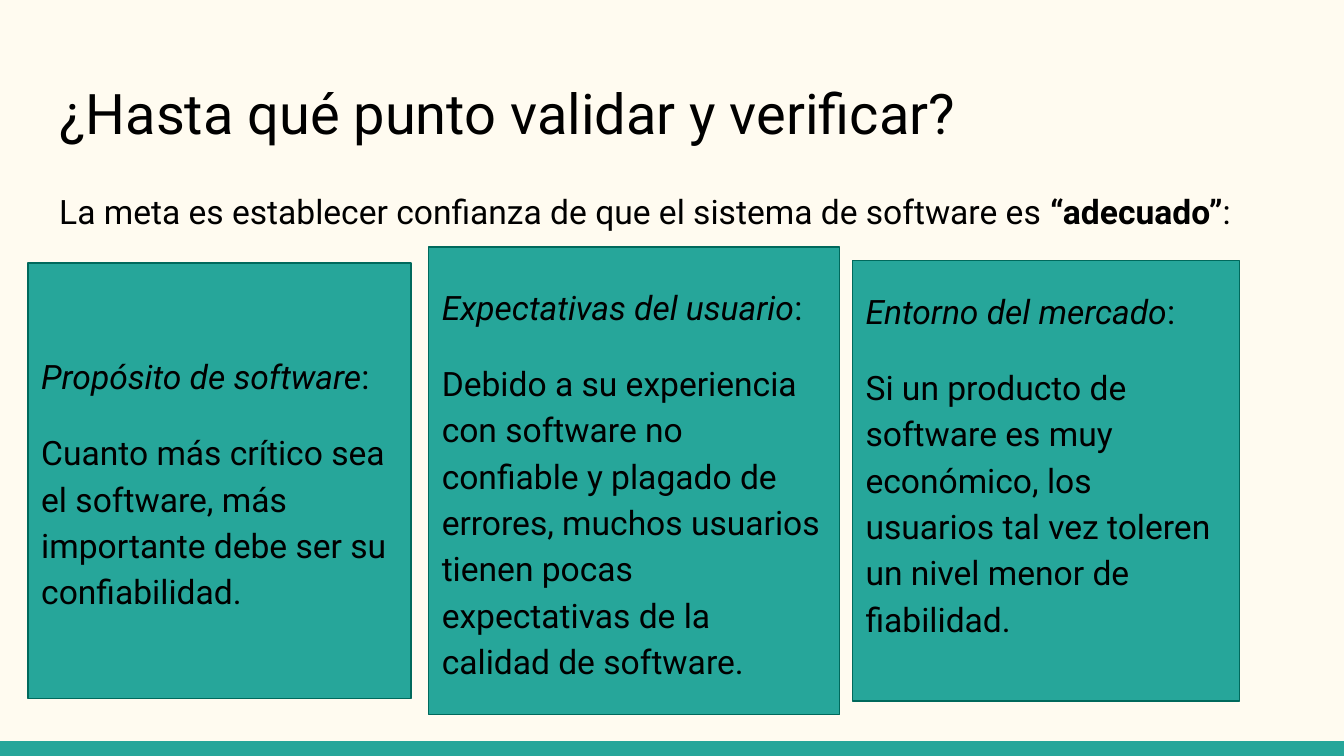
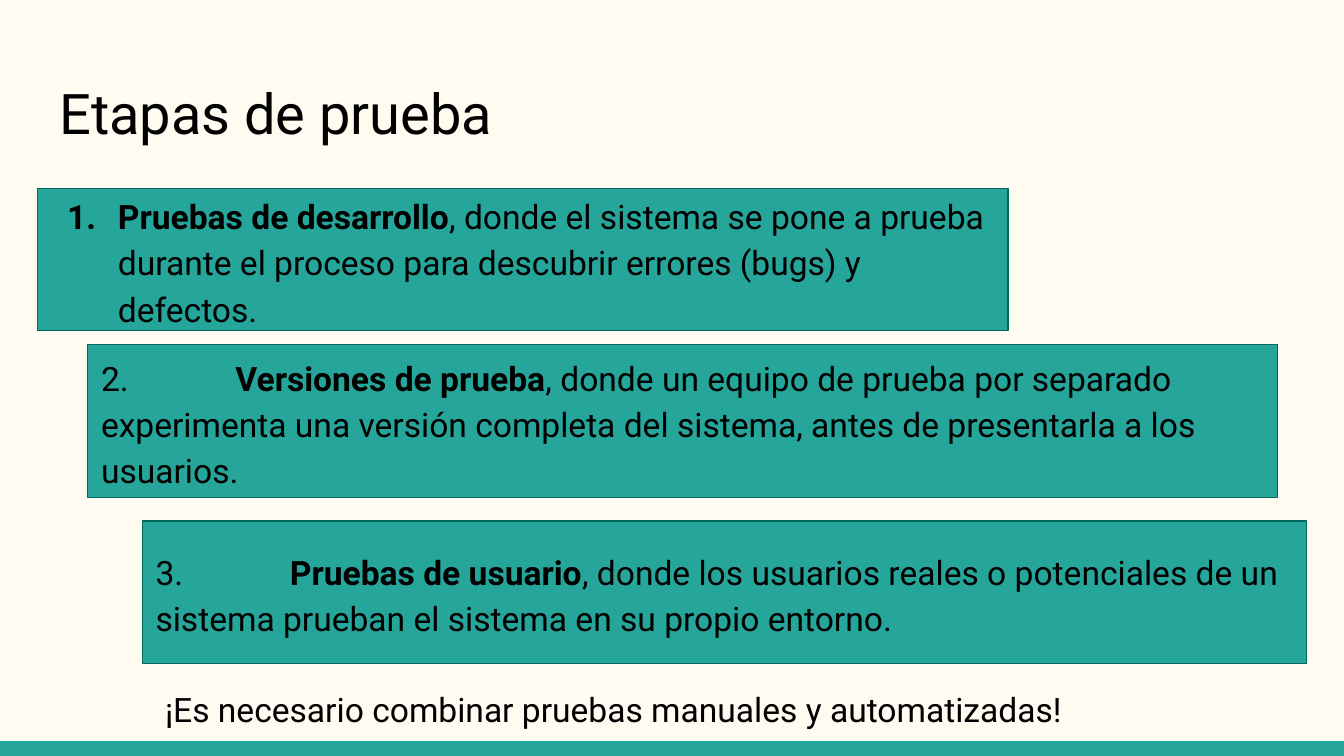
from dataclasses import dataclass

from lxml import etree
from pptx import Presentation
from pptx.dml.color import RGBColor
from pptx.enum.shapes import MSO_SHAPE
from pptx.enum.text import MSO_ANCHOR, PP_ALIGN
from pptx.oxml.ns import qn
from pptx.util import Cm, Pt

RECTANGLE = MSO_SHAPE.RECTANGLE
TOP = MSO_ANCHOR.TOP
MIDDLE = MSO_ANCHOR.MIDDLE
LEFT = PP_ALIGN.LEFT


@dataclass(frozen=True)
class Theme:
    background: RGBColor = RGBColor(0xFF, 0xFB, 0xF0)
    accent: RGBColor = RGBColor(0x26, 0xA6, 0x9A)
    outline: RGBColor = RGBColor(0x00, 0x69, 0x5C)
    text: RGBColor = RGBColor(0, 0, 0)
    font: str = "Roboto"
    title_size: int = 30
    body_size: int = 18
    body_spacing: float = 1.15
    paragraph_gap: int = 16
    outline_width: float = 0.75
    inset: float = 0.25


@dataclass(frozen=True)
class Box:
    left: float
    top: float
    width: float
    height: float

    def lengths(self):
        return [Cm(value) for value in (self.left, self.top, self.width, self.height)]


THEME = Theme()
PAGE = Box(0, 0, 25.4, 14.29)
BAND = Box(0, 14.01, PAGE.width, 0.28)
TITLE = Box(0.87, 1.24, 23.67, 1.7)
INTRODUCTION = Box(0.87, 3.25, 23.67, 1.7)
CARD_ROW = Box(0.53, 4.67, 22.89, 8.84)
STAIRCASE = Box(0.71, 3.56, 23.98, 8.98)
CLOSING = Box(2.87, 12.65, 21.67, 1.27)

CARDS = [
    (0, 7.24, 8.23, 0, "Propósito de software",
     "Cuanto más crítico sea el software, más importante debe ser su confiabilidad."),
    (7.57, 7.77, 8.84, 0, "Expectativas del usuario",
     "Debido a su experiencia con software no confiable y plagado de errores, "
     "muchos usuarios tienen pocas expectativas de la calidad de software."),
    (15.58, 7.32, 8.33, 0.72, "Entorno del mercado",
     "Si un producto de software es muy económico, los usuarios tal vez toleren "
     "un nivel menor de fiabilidad."),
]

STEPS = [
    (Box(0, 0, 18.34, 2.69), "", "Pruebas de desarrollo",
     ", donde el sistema se pone a prueba durante el proceso para descubrir "
     "errores (bugs) y defectos."),
    (Box(0.95, 2.95, 22.48, 2.9), "2.\t", "Versiones de prueba",
     ", donde un equipo de prueba por separado experimenta una versión completa "
     "del sistema, antes de presentarla a los usuarios."),
    (Box(1.98, 6.29, 22, 2.69), "3.\t", "Pruebas de usuario",
     ", donde los usuarios reales o potenciales de un sistema prueban el sistema "
     "en su propio entorno."),
]


def write_text(shape, paragraphs, size=THEME.body_size, spacing=THEME.body_spacing,
               anchor=TOP):
    frame = shape.text_frame
    frame.word_wrap = True
    frame.vertical_anchor = anchor
    frame.margin_left = frame.margin_right = Cm(THEME.inset)
    frame.margin_top = frame.margin_bottom = Cm(THEME.inset)
    for index, parts in enumerate(paragraphs):
        paragraph = frame.add_paragraph() if index else frame.paragraphs[0]
        paragraph.alignment = LEFT
        paragraph.line_spacing = spacing
        if index:
            paragraph.space_before = Pt(THEME.paragraph_gap)
        for text, style in parts:
            run = paragraph.add_run()
            run.text = text
            run.font.name = THEME.font
            run.font.size = Pt(size)
            run.font.color.rgb = THEME.text
            run.font.bold = style == "bold"
            run.font.italic = style == "italic"
    return frame


def add_text(slide, box, parts, **options):
    write_text(slide.shapes.add_textbox(*box.lengths()), [parts], **options)


def add_panel(slide, box, outlined=True):
    panel = slide.shapes.add_shape(RECTANGLE, *box.lengths())
    panel.shadow.inherit = False
    panel.fill.solid()
    panel.fill.fore_color.rgb = THEME.accent
    if outlined:
        panel.line.color.rgb = THEME.outline
        panel.line.width = Pt(THEME.outline_width)
    else:
        panel.line.fill.background()
    return panel


def add_number(paragraph):
    properties = paragraph._p.get_or_add_pPr()
    properties.set("marL", str(Cm(1.27)))
    properties.set("indent", str(Cm(-0.96)))
    color = etree.SubElement(properties, qn("a:buClr"))
    etree.SubElement(color, qn("a:srgbClr")).set("val", str(THEME.text))
    etree.SubElement(properties, qn("a:buFont")).set("typeface", THEME.font)
    etree.SubElement(properties, qn("a:buAutoNum")).set("type", "arabicPeriod")


def add_tab_stop(paragraph):
    tabs = etree.SubElement(paragraph._p.get_or_add_pPr(), qn("a:tabLst"))
    tab = etree.SubElement(tabs, qn("a:tab"))
    tab.set("pos", str(Cm(2.54)))
    tab.set("algn", "l")


def add_cards(slide, area):
    for offset, width, height, bottom_space, heading, description in CARDS:
        top = area.top + (area.height - height) / 2
        card = add_panel(slide, Box(area.left + offset, top, width, height))
        heading_parts = [(heading, "italic"), (":", "")]
        frame = write_text(card, [heading_parts, [(description, "")]], anchor=MIDDLE)
        frame.margin_bottom = Cm(THEME.inset + bottom_space)


def add_steps(slide, area):
    for step, number, name, description in STEPS:
        box = Box(area.left + step.left, area.top + step.top, step.width, step.height)
        panel = add_panel(slide, box)
        paragraph = panel.text_frame.paragraphs[0]
        parts = [(name, "bold"), (description, "")]
        if number:
            add_tab_stop(paragraph)
            parts.insert(0, (number, ""))
        else:
            add_number(paragraph)
        write_text(panel, [parts], anchor=MIDDLE)


def add_base_slide(presentation, title):
    slide = presentation.slides.add_slide(presentation.slide_layouts[6])
    slide.background.fill.solid()
    slide.background.fill.fore_color.rgb = THEME.background
    add_panel(slide, BAND, outlined=False)
    add_text(slide, TITLE, [(title, "")], size=THEME.title_size, spacing=1.0)
    return slide


def add_confidence_slide(presentation):
    slide = add_base_slide(presentation, "¿Hasta qué punto validar y verificar?")
    add_text(slide, INTRODUCTION, [
        ("La meta es establecer confianza de que el sistema de software es ", ""),
        ("“adecuado”", "bold"),
        (":", ""),
    ])
    add_cards(slide, CARD_ROW)


def add_stages_slide(presentation):
    slide = add_base_slide(presentation, "Etapas de prueba")
    add_text(slide, CLOSING, [
        ("¡Es necesario combinar pruebas manuales y automatizadas!", ""),
    ])
    add_steps(slide, STAIRCASE)


def main():
    presentation = Presentation()
    presentation.slide_width = Cm(PAGE.width)
    presentation.slide_height = Cm(PAGE.height)
    add_confidence_slide(presentation)
    add_stages_slide(presentation)
    presentation.save("out.pptx")


if __name__ == "__main__":
    main()
